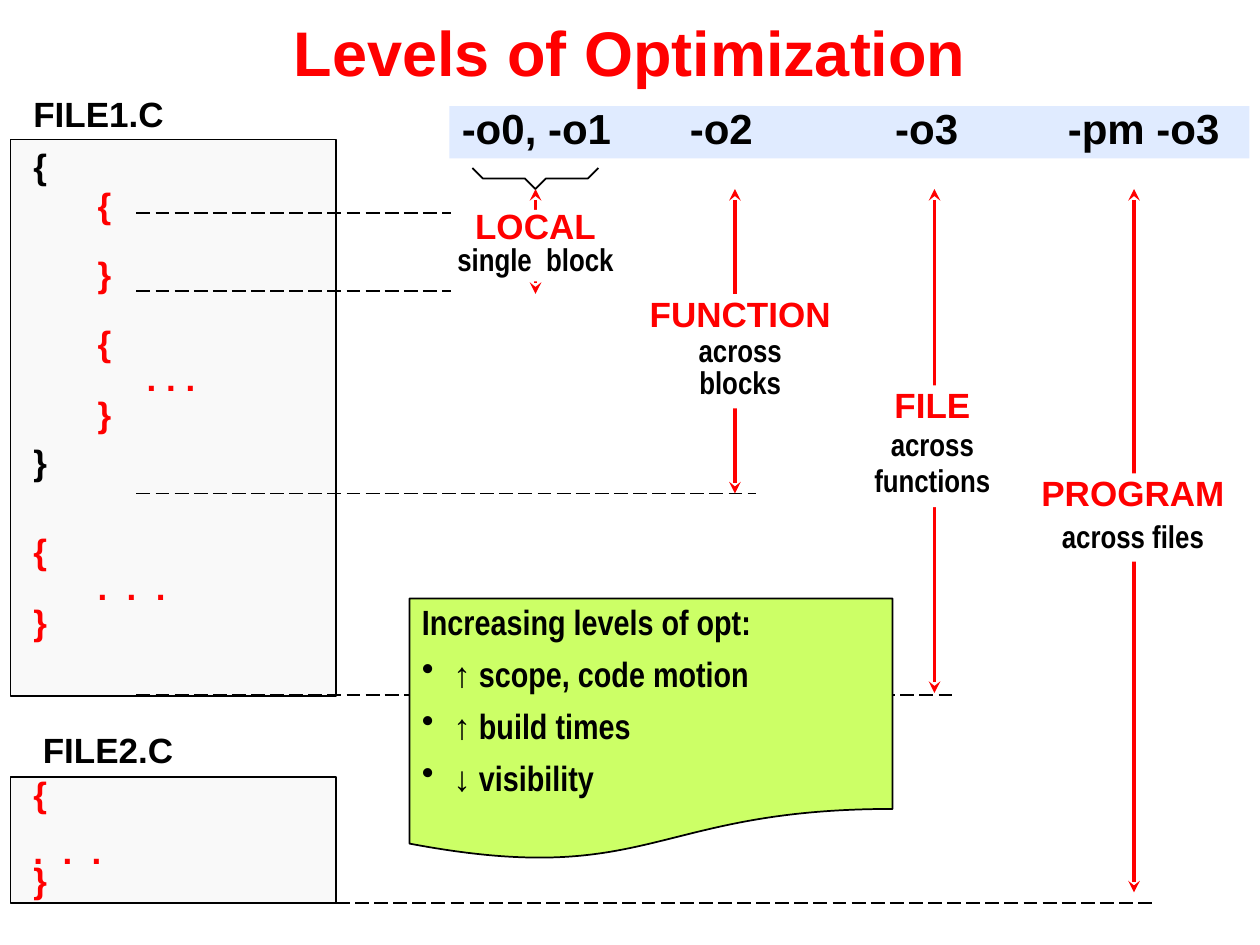
"""Build the slide "Levels of Optimization" on a grid of 120 columns by 90 rows."""
from pptx import Presentation, util as u
from pptx.dml.color import RGBColor
from pptx.enum import dml, shapes, text
from pptx.oxml import ns, xmlchemy as xml

RED, BLACK, WHITE = "FF0000", "000000", "FFFFFF"
WIDE, NARROW = "Arial", "Arial Narrow"
CELL = u.Inches(10) // 120


def paint(fill, colour):
    fill.solid()
    fill.fore_color.rgb = RGBColor.from_string(colour)


def write(shape, lines, align=text.PP_ALIGN.LEFT, anchor=text.MSO_ANCHOR.TOP, side=0.1):
    frame = shape.text_frame
    frame.word_wrap = True
    frame.vertical_anchor = anchor
    frame.margin_left = frame.margin_right = u.Inches(side)
    for index, (words, size, font, colour, spacing, before, indent) in enumerate(lines):
        paragraph = frame.paragraphs[0] if index == 0 else frame.add_paragraph()
        paragraph.alignment = align
        paragraph.line_spacing = spacing
        paragraph.space_before = u.Pt(before if index else 0)
        paragraph._p.get_or_add_pPr().set("marL", str(u.Inches(indent)))
        run = paragraph.add_run()
        run.text = words
        run.font.name, run.font.size, run.font.bold = font, u.Pt(size), True
        paint(run.font.fill, colour)


presentation = Presentation()
presentation.slide_width, presentation.slide_height = 120 * CELL, 90 * CELL
slide = presentation.slides.add_slide(presentation.slide_layouts[6])

for top, height in [(13.3, 53), (74, 12)]:
    panel = slide.shapes.add_shape(
        shapes.MSO_SHAPE.RECTANGLE, CELL, int(top * CELL), 31 * CELL, int(height * CELL))
    panel.shadow.inherit = False
    paint(panel.fill, "F9F9F9")
    paint(panel.line.fill, BLACK)
    panel.line.width = u.Pt(1)

title = slide.shapes.add_textbox(0, 0, 120 * CELL, int(9.7 * CELL))
write(title, [("Levels of Optimization", 36, WIDE, RED, 1, 0, 0)],
      text.PP_ALIGN.CENTER, text.MSO_ANCHOR.MIDDLE)

file_one = [
    ("FILE1.C", BLACK, 0.8, 0, 0),
    ("{", BLACK, 0.8, 10.5, 0),
    ("{", RED, 0.4, 10.5, 0.51),
    ("}", RED, 0.4, 30, 0.51),
    ("{", RED, 0.4, 30, 0.51),
    (". . .", RED, 0.4, 10.5, 0.9),
    ("}", RED, 0.4, 10.5, 0.51),
    ("}", BLACK, 0.8, 10.5, 0),
    ("{", RED, 0.4, 39.5, 0),
    (".  .  .", RED, 0.4, 10.5, 0.51),
    ("}", RED, 0.4, 10.5, 0),
]
file_two = [("{", RED, 0.4, 0, 0), (".  .  .", RED, 0.4, 23, 0), ("}", RED, 0.4, 7, 0)]
listings = [
    (2, 9, 18, 57, file_one),
    (2.9, 69.6, 15, 4.4, [("FILE2.C", BLACK, 0.8, 0, 0)]),
    (2, 75, 21, 10, file_two),
]
for left, top, width, height, code in listings:
    listing = slide.shapes.add_textbox(*(int(side * CELL) for side in (left, top, width, height)))
    write(listing, [(words, 20, WIDE, *rest) for words, *rest in code])

header = slide.shapes.add_textbox(*(int(side * CELL) for side in (42.8, 10.1, 76.2, 5)))
paint(header.fill, "E0EBFF")
tabs = xml.OxmlElement("a:tabLst")
for position in (1.81, 3.44, 4.81):
    tab = xml.OxmlElement("a:tab")
    tab.set("pos", str(u.Inches(position)))
    tab.set("algn", "l")
    tabs.append(tab)
header.text_frame.paragraphs[0]._p.get_or_add_pPr().append(tabs)
write(header, [("-o0, -o1\t-o2\t-o3\t-pm -o3", 24, WIDE, BLACK, 0.8, 0, 0)])

dashes = [(13, 20.3, 43, 20.3), (13, 27.7, 43, 27.7), (13, 47, 72, 47),
          (13, 66.2, 91, 66.2), (32, 86, 110, 86)]
arrows = [(51 + 19 * level, 18, 51 + 19 * level, end)
          for level, end in enumerate((28, 47, 66, 85))]
for ends in dashes + arrows:
    connector = slide.shapes.add_connector(
        shapes.MSO_CONNECTOR.STRAIGHT, *(int(place * CELL) for place in ends))
    is_arrow = ends in arrows
    paint(connector.line.fill, RED if is_arrow else BLACK)
    connector.line.width = u.Pt(2.25 if is_arrow else 1)
    if is_arrow:
        for tag in ("a:headEnd", "a:tailEnd"):
            tip = xml.OxmlElement(tag)
            tip.set("type", "stealth")
            connector.line._get_or_add_ln().append(tip)
    else:
        connector.line.dash_style = dml.MSO_LINE.LONG_DASH
    connector._element.spPr.append(xml.OxmlElement("a:effectLst"))

labels = [
    (43, 20, 16, 6.8, "LOCAL", 0.7, ["single  block"], 0.3),
    (57, 28, 27, 10.9, "FUNCTION", 0.8, ["across", "blocks"], 0.4),
    (82, 36.7, 13.6, 11.6, "FILE", 0.8, ["across", "functions"], 0.5),
    (98, 45.1, 19.8, 8.4, "PROGRAM", 0.8, ["across files"], 0.6),
]
for left, top, width, height, scope, scope_spacing, details, detail_spacing in labels:
    label = slide.shapes.add_textbox(*(int(side * CELL) for side in (left, top, width, height)))
    paint(label.fill, WHITE)
    write(label, [(scope, 20, WIDE, RED, scope_spacing, 0, 0)]
          + [(detail, 18, NARROW, BLACK, detail_spacing, 9.5, 0) for detail in details],
          text.PP_ALIGN.CENTER, side=0)

builder = slide.shapes.build_freeform(45, 16, scale=CELL)
builder.add_line_segments(
    [(45.75, 17), (50.25, 17), (51, 18), (51.75, 17), (56.25, 17), (57, 16)], close=False)
brace = builder.convert_to_shape()
brace.shadow.inherit = False
brace.fill.background()
paint(brace.line.fill, BLACK)
brace.line.width = u.Pt(1)

note = slide.shapes.add_shape(
    shapes.MSO_SHAPE.FLOWCHART_DOCUMENT, 39 * CELL, 57 * CELL, 46 * CELL, 25 * CELL)
note.shadow.inherit = False
paint(note.fill, "CCFF66")
paint(note.line.fill, BLACK)
note.line.width = u.Pt(1)
effects = ["↑ scope, code motion", "↑ build times", "↓ visibility"]
write(note, [("Increasing levels of opt:", 20, NARROW, BLACK, 0.8, 0, 0)]
      + [(effect, 20, NARROW, BLACK, 0.8, 10.5, 0.25) for effect in effects],
      anchor=text.MSO_ANCHOR.MIDDLE)
for paragraph in note.text_frame.paragraphs[1:]:
    properties = paragraph._p.get_or_add_pPr()
    properties.set("indent", str(u.Inches(-0.25)))
    bullet = xml.OxmlElement("a:buChar")
    bullet.set("char", "•")
    properties.append(bullet)

presentation.save("out.pptx")
